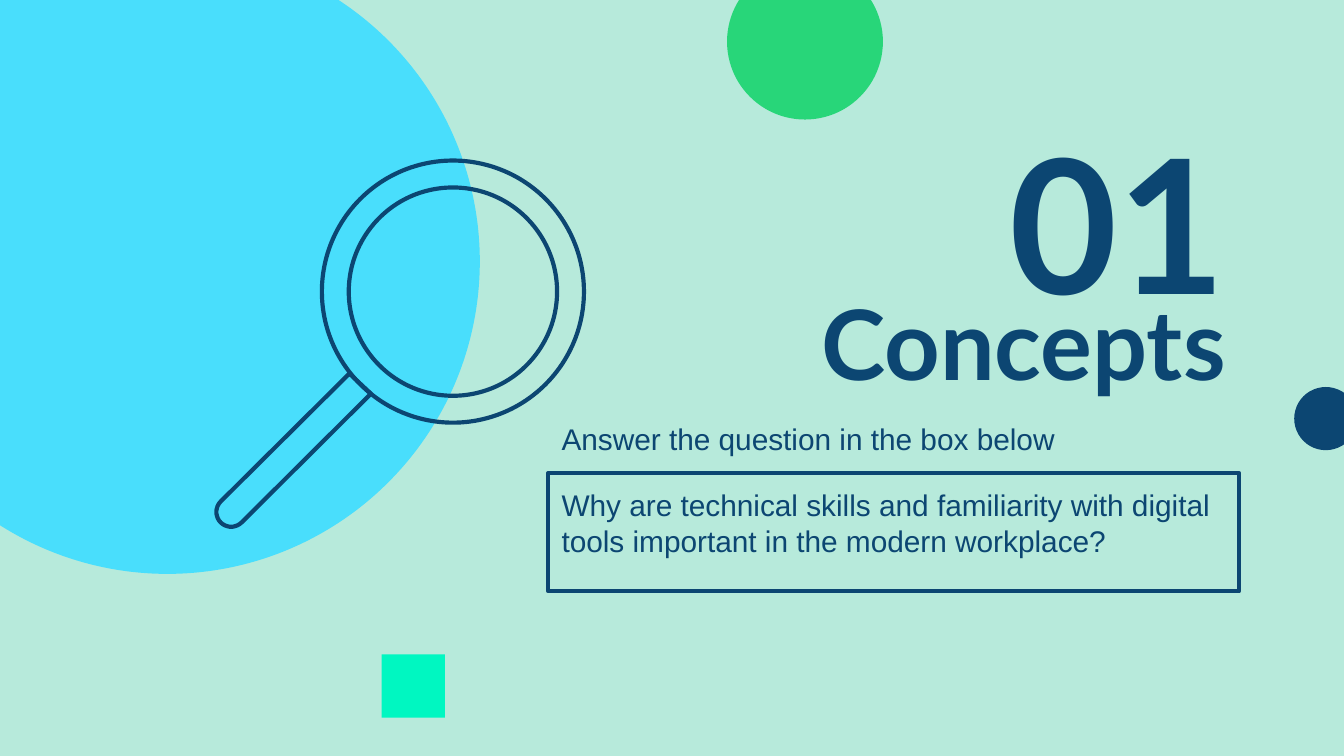
from dataclasses import dataclass
from math import cos, radians, sin

from pptx import Presentation
from pptx.dml.color import RGBColor
from pptx.enum.shapes import MSO_SHAPE as Preset
from pptx.enum.text import MSO_ANCHOR as Anchor, MSO_AUTO_SIZE as AutoSize, PP_ALIGN as Align
from pptx.shapes.autoshape import Shape
from pptx.slide import Slide
from pptx.util import Inches, Pt


@dataclass(frozen=True)
class Theme:
    mint: str = "B7EADB"
    sky: str = "49DEFC"
    navy: str = "0C4672"
    aqua: str = "00F7C1"
    green: str = "28D679"
    heading_font: str = "Lato"
    body_font: str = "Arial"
    number_size: float = 100
    title_size: float = 52
    body_size: float = 16
    line_width: float = 2.25


@dataclass(frozen=True)
class Figure:
    preset: Preset
    left: float
    top: float
    size: float
    fill: str | None = None


THEME = Theme()
TEXT_LEFT, TEXT_WIDTH = 4.08, 5.14
LENS_X, LENS_Y = 3.37, 2.17
CAP_X, CAP_Y, CAP_RADIUS = 1.72, 3.81, 0.11
UNITS_PER_INCH = 1000

BACKDROP = Figure(Preset.OVAL, -1.08, -0.38, 4.65, THEME.sky)
LENS_RINGS = [
    Figure(Preset.OVAL, LENS_X - size / 2, LENS_Y - size / 2, size)
    for size in (1.95, 1.55)
]
ACCENTS = [
    Figure(Preset.RECTANGLE, 2.84, 4.87, 0.47, THEME.aqua),
    Figure(Preset.OVAL, 5.41, -0.27, 1.16, THEME.green),
    Figure(Preset.OVAL, 9.63, 2.88, 0.47, THEME.navy),
]


def outline(shape: Shape) -> None:
    shape.line.color.rgb = RGBColor.from_string(THEME.navy)
    shape.line.width = Pt(THEME.line_width)


def paint(shape: Shape, fill: str | None) -> None:
    shape.shadow.inherit = False
    if fill:
        shape.fill.solid()
        shape.fill.fore_color.rgb = RGBColor.from_string(fill)
        shape.line.fill.background()
    else:
        shape.fill.background()
        outline(shape)


def draw_figure(page: Slide, figure: Figure) -> None:
    shape = page.shapes.add_shape(
        figure.preset, Inches(figure.left), Inches(figure.top),
        Inches(figure.size), Inches(figure.size),
    )
    paint(shape, figure.fill)


def draw_handle(page: Slide) -> None:
    cap = [
        (CAP_X + CAP_RADIUS * cos(radians(angle)), CAP_Y + CAP_RADIUS * sin(radians(angle)))
        for angle in range(225, 44, -10)
    ]
    start, *rest = [
        (round(x * UNITS_PER_INCH), round(y * UNITS_PER_INCH))
        for x, y in [(2.76, 2.93), (2.6, 2.78), *cap]
    ]
    builder = page.shapes.build_freeform(*start, scale=Inches(1) / UNITS_PER_INCH)
    builder.add_line_segments(rest, close=True)
    paint(builder.convert_to_shape(), None)


def write(box: Shape, text: str, *, top: float, height: float, size: float, font: str,
          bold: bool = False, align: Align = Align.LEFT, anchor: Anchor = Anchor.TOP) -> None:
    box.left, box.top = Inches(TEXT_LEFT), Inches(top)
    box.width, box.height = Inches(TEXT_WIDTH), Inches(height)
    frame = box.text_frame
    frame.word_wrap = True
    frame.auto_size = AutoSize.NONE
    frame.vertical_anchor = anchor
    frame.margin_left = frame.margin_right = Inches(0.1)
    frame.margin_top = frame.margin_bottom = Inches(0.1)
    para = frame.paragraphs[0]
    para.alignment = align
    para.line_spacing = 1.0
    span = para.add_run()
    span.text = text
    span.font.name = font
    span.font.size = Pt(size)
    span.font.bold = bold
    span.font.color.rgb = RGBColor.from_string(THEME.navy)


def add_box(page: Slide) -> Shape:
    return page.shapes.add_textbox(0, 0, Inches(1), Inches(1))


def main() -> None:
    deck = Presentation()
    deck.slide_width = Inches(10)
    deck.slide_height = deck.slide_width * 9 // 16
    page = deck.slides.add_slide(deck.slide_layouts[5])
    page.background.fill.solid()
    page.background.fill.fore_color.rgb = RGBColor.from_string(THEME.mint)

    heading = dict(font=THEME.heading_font, bold=True, align=Align.RIGHT)
    body = dict(font=THEME.body_font, size=THEME.body_size)

    draw_figure(page, BACKDROP)
    write(page.shapes.title, "Concepts", top=2.13, height=0.83,
          size=THEME.title_size, anchor=Anchor.MIDDLE, **heading)
    write(add_box(page), "01", top=0.7, height=1.55, size=THEME.number_size, **heading)
    question = add_box(page)
    outline(question)
    write(question, "Why are technical skills and familiarity with digital tools "
          "important in the modern workplace?", top=3.52, height=0.88, **body)
    for ring in LENS_RINGS:
        draw_figure(page, ring)
    draw_handle(page)
    for accent in ACCENTS:
        draw_figure(page, accent)
    write(add_box(page), "Answer the question in the box below", top=3.03, height=0.4, **body)

    deck.save("out.pptx")


if __name__ == "__main__":
    main()
